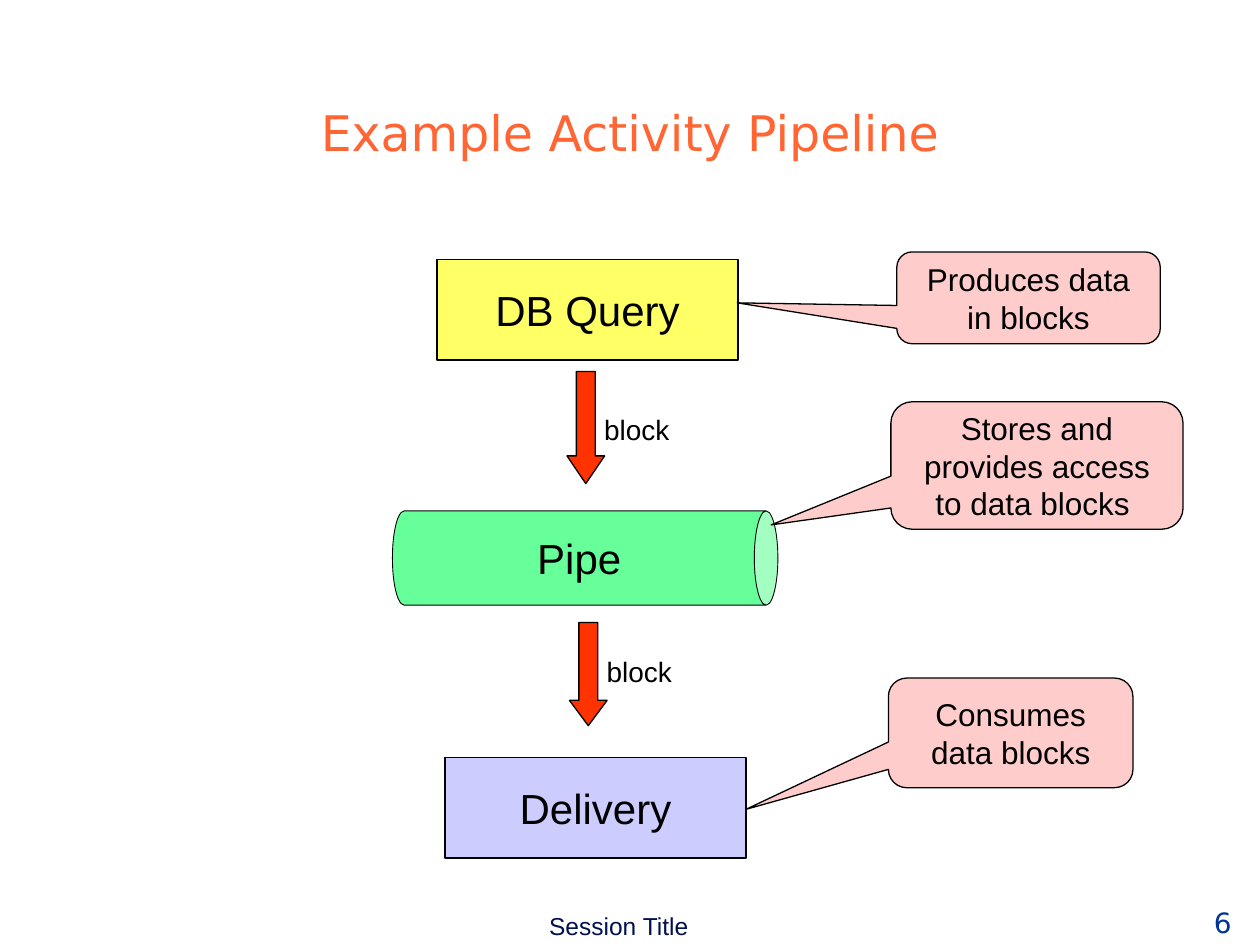
from pptx import Presentation
from pptx.dml.color import RGBColor
from pptx.enum.shapes import MSO_SHAPE as Shape
from pptx.enum.text import MSO_ANCHOR as Anchor, PP_ALIGN as Align
from pptx.util import Cm, Pt

COLORS = {
    "black": "000000", "title": "FF6633", "number": "003399", "footer": "00114D",
    "query": "FFFF66", "pipe": "66FF99", "delivery": "CCCCFF",
    "arrow": "FF3300", "callout": "FFCCCC",
}


def write(holder, text, size, color="black", font="Arial", align=Align.CENTER,
          anchor=Anchor.MIDDLE, wrap=True):
    """Put formatted text into a shape or text box."""
    frame = holder.text_frame
    frame.word_wrap = wrap
    frame.vertical_anchor = anchor
    para = frame.paragraphs[0]
    para.alignment = align
    span = para.add_run()
    span.text = text
    span.font.size = Pt(size)
    span.font.name = font
    span.font.color.rgb = RGBColor.from_string(COLORS[color])


def add_text(page, box, text, size, **style):
    """Add a text box at left, top, width, height in centimetres."""
    write(page.shapes.add_textbox(*map(Cm, box)), text, size, **style)


def add_figure(page, kind, box, color, adjust=(), line=0.75):
    """Add a filled, outlined preset shape."""
    figure = page.shapes.add_shape(kind, *map(Cm, box))
    figure.shadow.inherit = False
    figure.fill.solid()
    figure.fill.fore_color.rgb = RGBColor.from_string(COLORS[color])
    figure.line.color.rgb = RGBColor.from_string(COLORS["black"])
    figure.line.width = Pt(line)
    for index, value in enumerate(adjust):
        figure.adjustments[index] = value
    return figure


def add_stage(page, box, text, color):
    """Draw a rectangular processing stage."""
    write(add_figure(page, Shape.RECTANGLE, box, color), text, 24, wrap=False)


def add_pipe(page, box, text):
    """Draw a can lying on its side, filling the box, with upright text."""
    left, top, width, height = box
    shift = (width - height) / 2
    upright = (left + shift, top - shift, height, width)
    pipe = add_figure(page, Shape.CAN, upright, "pipe", [0.25], line=0.5)
    pipe.rotation = 90
    write(pipe, text, 24, wrap=False)
    pipe.text_frame._txBody.bodyPr.set("vert", "vert270")


def add_flow(page, box, head, drop, text):
    """Draw a down arrow with its label to the right."""
    left, top = box[:2]
    add_figure(page, Shape.DOWN_ARROW, box, "arrow", [0.5, head])
    add_text(page, (left + 0.5, top + drop, 1.95, 0.94), text, 16,
             align=Align.LEFT, anchor=Anchor.TOP, wrap=False)


def add_pipeline(page, left, top):
    """Draw the column of stages and the flows between them."""
    add_stage(page, (left + 0.9, top, 6.07, 2.03), "DB Query", "query")
    add_flow(page, (left + 3.52, top + 2.26, 0.76, 2.26), 0.735, 0.71, "block")
    add_pipe(page, (left, top + 5.07, 7.77, 1.9), "Pipe")
    add_flow(page, (left + 3.57, top + 7.32, 0.76, 2.08), 0.672, 0.53, "block")
    add_stage(page, (left + 1.06, top + 10.04, 6.07, 2.03), "Delivery", "delivery")


def add_callouts(page, left, top):
    """Draw the remarks that point at the stages."""
    remarks = [
        ((0.17, 0, 5.31, 1.85), (-1.106, 0.055), "Produces data in blocks"),
        ((0.05, 3.02, 5.89, 2.57), (-0.91, 0.466),
         "Stores and provides access to data blocks "),
        ((0, 8.59, 4.93, 2.21), (-1.083, 0.698), "Consumes data blocks"),
    ]
    for (x, y, width, height), tip, text in remarks:
        box = (left + x, top + y, width, height)
        callout = add_figure(page, Shape.ROUNDED_RECTANGULAR_CALLOUT, box,
                             "callout", (*tip, 0.167))
        write(callout, text, 18)


def add_title(page, box):
    """Write the slide title."""
    add_text(page, box, "Example Activity Pipeline", 28, color="title",
             font="DejaVu Sans", anchor=Anchor.BOTTOM)


def add_footer(page, left, top):
    """Write the session title and the page number."""
    add_text(page, (left, top + 0.21, 13.67, 0.74), "Session Title", 14,
             color="footer", anchor=Anchor.TOP)
    add_text(page, (left + 17.37, top, 3.28, 1.02), "6", 16, color="number",
             font="DejaVu Sans", anchor=Anchor.BOTTOM, wrap=False)


def main():
    """Build the slide and save it."""
    deck = Presentation()
    deck.slide_width, deck.slide_height = Cm(25.4), Cm(19.05)
    page = deck.slides.add_slide(deck.slide_layouts[6])
    add_title(page, (1.9, 1.86, 21.59, 1.52))
    add_pipeline(page, 7.91, 5.23)
    add_callouts(page, 17.91, 5.08)
    add_footer(page, 5.64, 18.03)
    deck.save("out.pptx")


if __name__ == "__main__":
    main()
